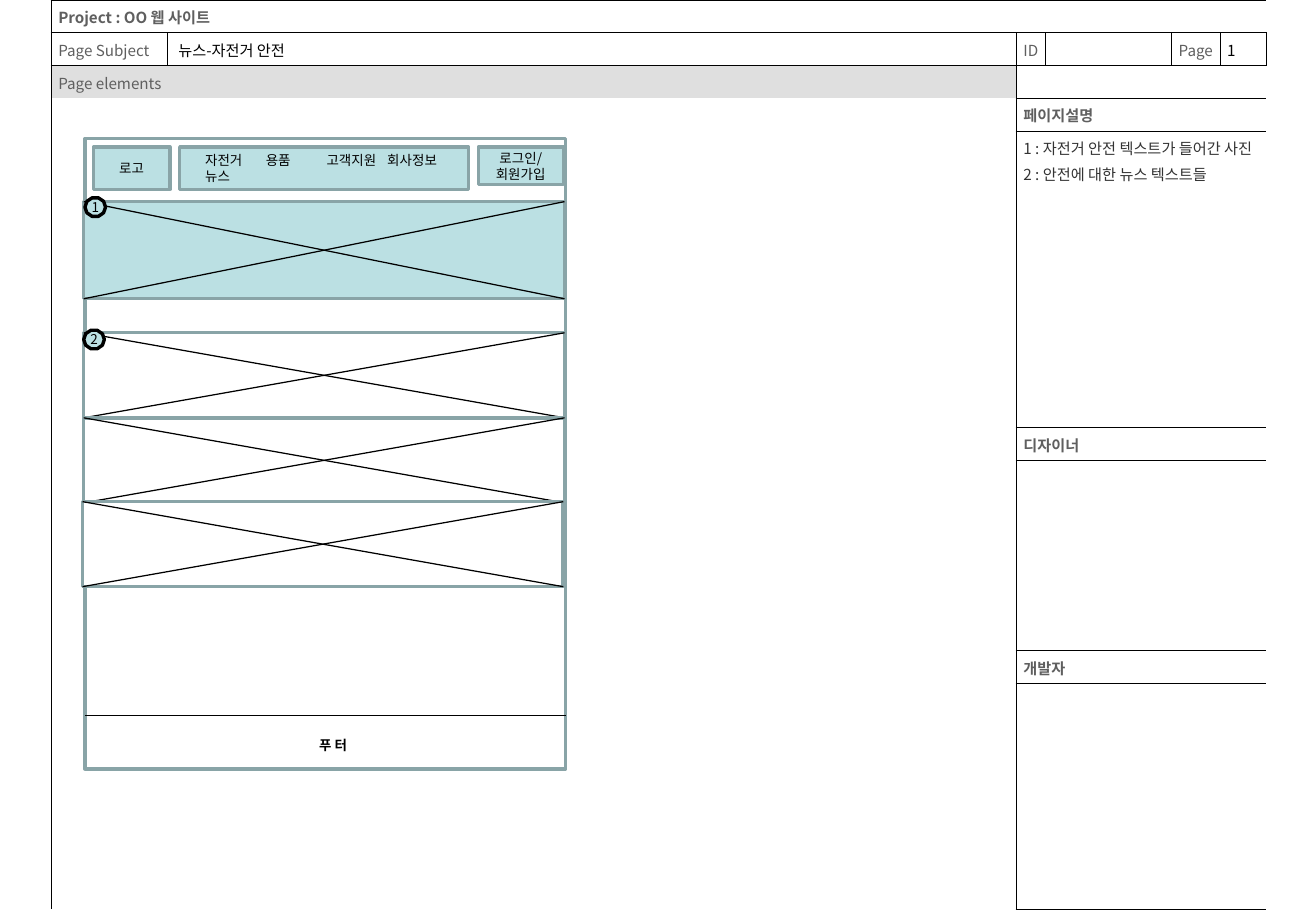
import math

from lxml import etree
from pptx import Presentation
from pptx.dml.color import RGBColor
from pptx.enum.shapes import MSO_CONNECTOR, MSO_SHAPE
from pptx.enum.text import MSO_ANCHOR, PP_ALIGN
from pptx.oxml.ns import qn
from pptx.util import Inches, Pt

RECTANGLE = MSO_SHAPE.RECTANGLE
STRAIGHT = MSO_CONNECTOR.STRAIGHT
LEFT, CENTER = PP_ALIGN.LEFT, PP_ALIGN.CENTER
TOP, MIDDLE = MSO_ANCHOR.TOP, MSO_ANCHOR.MIDDLE

FONT = "Noto Sans CJK KR"
COLORS = {"black": "000000", "label": "5F5F5F", "note": "333333", "white": "FFFFFF",
          "band": "DFDFDF", "aqua": "BBE0E3", "outline": "89A4A7"}

SHEET_LEFT, SHEET_TOP = 0.42, 0
COLUMNS = [0.96, 6.99, 0.24, 1.04, 0.4, 0.38]
ROWS = [0.27, 0.27, 0.27, 0.27, 2.44, 0.27, 1.57, 0.27, 1.86]
# row, column, row span, column span, lines, colour, bold
SHEET_CELLS = [
    (0, 0, 1, 6, ["Project : OO 웹 사이트"], "label", True),
    (1, 0, 1, 1, ["Page Subject"], "label", False),
    (1, 1, 1, 1, ["뉴스-자전거 안전"], "black", False),
    (1, 2, 1, 1, ["ID"], "label", False),
    (1, 3, 1, 1, [], "label", False),
    (1, 4, 1, 1, ["Page"], "label", False),
    (1, 5, 1, 1, ["1"], "black", False),
    (2, 0, 1, 2, ["Page elements"], "label", False),
    (2, 2, 1, 4, [], "label", False),
    (3, 0, 6, 2, [], "label", False),
    (3, 2, 1, 4, ["페이지설명"], "label", True),
    (4, 2, 1, 4, ["1 : 자전거 안전 텍스트가 들어간 사진",
                  "2 : 안전에 대한 뉴스 텍스트들"], "note", False),
    (5, 2, 1, 4, ["디자이너"], "label", True),
    (6, 2, 1, 4, [], "label", False),
    (7, 2, 1, 4, ["개발자"], "label", True),
    (8, 2, 1, 4, [], "label", False),
]
SUBJECT, PAGE_NUMBER, PAGE_ELEMENTS, CANVAS = (1, 1), (1, 5), (2, 0), (3, 0)

PAGE_FRAME = (0.7, 1.14, 3.96, 5.19)
FOOTER_TOP, FOOTER_TEXT = 5.89, "푸 터"
NEWS_BOXES = [(0.69, 2.74, 3.96, 0.7), (0.69, 3.44, 3.96, 0.7), (0.68, 4.13, 3.96, 0.7)]
PHOTO_BOX = (0.69, 1.66, 3.96, 0.8)
LOGO_BOX = (0.77, 1.21, 0.63, 0.35)
MENU_BOX = (1.48, 1.21, 2.38, 0.35)
LOGIN_BOX = (3.94, 1.21, 0.7, 0.31)
MENU_ITEMS = ["자전거", "용품", "고객지원", "회사정보", "뉴스"]
MENU_INSET, MENU_TABS = 0.21, [0.43, 0.73, 1.23, 1.74]
MARKERS = [("1", 0.785, 1.705), ("2", 0.775, 2.795)]
MARKER_RADII, MARKER_SIDES = (0.085, 0.08), 10


def color(name):
    return RGBColor.from_string(COLORS[name])


def write(text_frame, lines, size, color_name="black", bold=False, align=LEFT, gap=0):
    text_frame.text = "\n".join(lines)
    for number, paragraph in enumerate(text_frame.paragraphs):
        paragraph.alignment = align
        paragraph.space_before = Pt(gap if number else 0)
        for run in paragraph.runs:
            font = run.font
            font.size, font.bold, font.name = Pt(size), bold, FONT
            font.color.rgb = color(color_name)
            etree.SubElement(font._element, qn("a:ea"), typeface=FONT)
        if not paragraph.runs:
            etree.SubElement(paragraph._p, qn("a:endParaRPr"), sz=str(size * 100))


def set_insets(frame, left, top, right, bottom):
    frame.margin_left, frame.margin_top = Inches(left), Inches(top)
    frame.margin_right, frame.margin_bottom = Inches(right), Inches(bottom)


def set_border(cell, side, visible):
    properties = cell._tc.get_or_add_tcPr()
    line = etree.SubElement(properties, qn("a:ln" + side), w=str(Pt(0.45)))
    if visible:
        fill = etree.SubElement(line, qn("a:solidFill"))
        etree.SubElement(fill, qn("a:srgbClr"), val=COLORS["black"])
    else:
        etree.SubElement(line, qn("a:noFill"))


def add_sheet(shapes):
    table = shapes.add_table(len(ROWS), len(COLUMNS), Inches(SHEET_LEFT), Inches(SHEET_TOP),
                             Inches(sum(COLUMNS)), Inches(sum(ROWS))).table
    table.first_row = table.horz_banding = False
    for column, width in zip(table.columns, COLUMNS):
        column.width = Inches(width)
    for row, height in zip(table.rows, ROWS):
        row.height = Inches(height)
    for top, left, row_span, column_span, lines, color_name, bold in SHEET_CELLS:
        place = (top, left)
        bottom, right = top + row_span - 1, left + column_span - 1
        if row_span * column_span > 1:
            table.cell(top, left).merge(table.cell(bottom, right))
        for row in range(top, bottom + 1):
            for column in range(left, right + 1):
                cell = table.cell(row, column)
                set_insets(cell, 0.09 if place == SUBJECT else 0.06, 0.05, 0.03, 0.03)
                cell.vertical_anchor = MIDDLE if place == PAGE_NUMBER else TOP
                set_border(cell, "L", column == left)
                set_border(cell, "R", column == right)
                set_border(cell, "T", row == top and place != CANVAS)
                set_border(cell, "B", row == bottom and place != PAGE_ELEMENTS)
                if place == PAGE_ELEMENTS:
                    cell.fill.solid()
                    cell.fill.fore_color.rgb = color("band")
                else:
                    cell.fill.background()
                write(cell.text_frame, lines if (row, column) == place else [],
                      9, color_name, bold, gap=2.2)


def paint(shape, fill, line):
    shape.shadow.inherit = False
    shape.fill.solid()
    shape.fill.fore_color.rgb = color(fill)
    shape.line.color.rgb = color(line)
    shape.line.width = Pt(2)


def add_box(shapes, box, fill, lines=()):
    shape = shapes.add_shape(RECTANGLE, *map(Inches, box))
    paint(shape, fill, "outline")
    if lines:
        shape.text_frame.vertical_anchor = MIDDLE
        write(shape.text_frame, lines, 8, align=CENTER)
    return shape


def add_line(shapes, *ends):
    line = shapes.add_connector(STRAIGHT, *map(Inches, ends))
    line.line.color.rgb = color("black")
    line.line.width = Pt(0.75)
    etree.SubElement(line._element.spPr, qn("a:effectLst"))


def add_crossed_box(shapes, box, fill):
    left, top, width, height = box
    add_box(shapes, box, fill)
    add_line(shapes, left + width, top, left, top + height)
    add_line(shapes, left, top, left + width, top + height)


def add_page_frame(shapes):
    left, _, width, _ = PAGE_FRAME
    add_box(shapes, PAGE_FRAME, "white")
    add_line(shapes, left, FOOTER_TOP, left + width, FOOTER_TOP)
    footer = shapes.add_textbox(Inches(2.53), Inches(6.02), Inches(1.72), Inches(0.24))
    footer.text_frame.word_wrap = True
    write(footer.text_frame, [FOOTER_TEXT], 8, bold=True)


def add_menu(shapes):
    menu = add_box(shapes, MENU_BOX, "aqua")
    frame = menu.text_frame
    frame.vertical_anchor = MIDDLE
    set_insets(frame, MENU_INSET, 0.05, 0.1, 0.05)
    tab_list = etree.SubElement(frame.paragraphs[0]._p.get_or_add_pPr(), qn("a:tabLst"))
    for position in MENU_TABS:
        etree.SubElement(tab_list, qn("a:tab"), pos=str(Inches(position)), algn="l")
    write(frame, ["\t".join(MENU_ITEMS)], 8)


def add_marker(shapes, number, center_x, center_y):
    radius_x, radius_y = MARKER_RADII
    angles = [2 * math.pi * side / MARKER_SIDES for side in range(MARKER_SIDES)]
    points = [(Inches(center_x + radius_x * math.cos(angle)),
               Inches(center_y + radius_y * math.sin(angle))) for angle in angles]
    builder = shapes.build_freeform(*points[0])
    builder.add_line_segments(points[1:], close=True)
    marker = builder.convert_to_shape()
    paint(marker, "aqua", "black")
    frame = marker.text_frame
    frame.word_wrap = False
    frame.vertical_anchor = MIDDLE
    set_insets(frame, 0, 0, 0, 0)
    write(frame, [number], 8, align=CENTER)


def main():
    presentation = Presentation()
    presentation.slide_width, presentation.slide_height = Inches(10.84), Inches(7.5)
    shapes = presentation.slides.add_slide(presentation.slide_layouts[6]).shapes
    add_sheet(shapes)
    add_page_frame(shapes.add_group_shape().shapes)
    for box in NEWS_BOXES:
        add_crossed_box(shapes.add_group_shape().shapes, box, "white")
    add_crossed_box(shapes, PHOTO_BOX, "aqua")
    add_box(shapes, LOGO_BOX, "aqua", ["로고"])
    add_menu(shapes)
    add_box(shapes, LOGIN_BOX, "aqua", ["로그인/", "회원가입"])
    for marker in MARKERS:
        add_marker(shapes, *marker)
    presentation.save("out.pptx")


if __name__ == "__main__":
    main()
